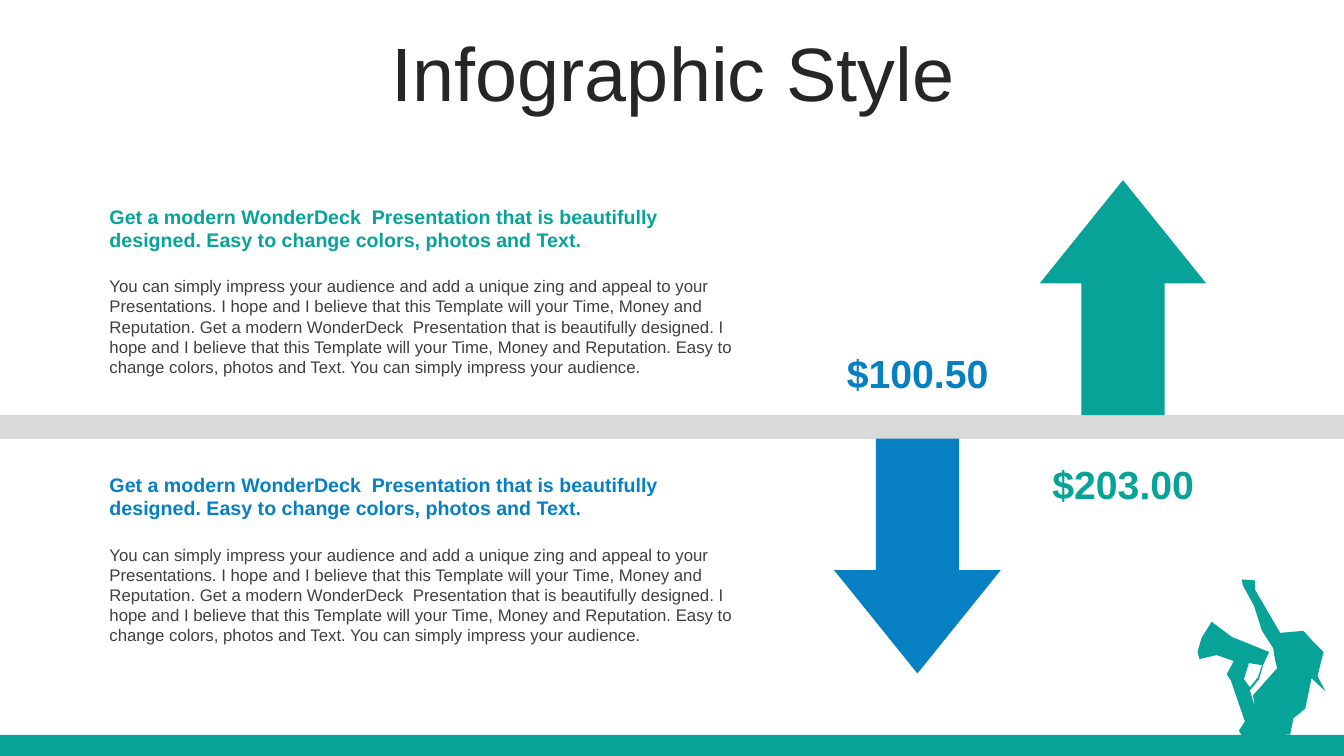
"""Build the two-arrow infographic slide."""
from pptx import Presentation
from pptx.dml.color import RGBColor
from pptx.enum.shapes import MSO_SHAPE
from pptx.enum.text import MSO_ANCHOR, MSO_AUTO_SIZE, PP_ALIGN
from pptx.util import Cm, Pt

RECT, ARROW = MSO_SHAPE.RECTANGLE, MSO_SHAPE.UP_ARROW
TOP, MIDDLE = MSO_ANCHOR.TOP, MSO_ANCHOR.MIDDLE
LEFT, CENTER = PP_ALIGN.LEFT, PP_ALIGN.CENTER
GROW, FIXED = MSO_AUTO_SIZE.SHAPE_TO_FIT_TEXT, MSO_AUTO_SIZE.NONE

COLORS = {"green": "07A398", "blue": "0680C3", "band": "D9D9D9",
          "title": "262626", "body": "404040"}
SLIDE_W, SLIDE_H = 33.87, 19.05
HEADING = ("Get a modern WonderDeck  Presentation that is beautifully designed. "
           "Easy to change colors, photos and Text.")
BODY = ("You can simply impress your audience and add a unique zing and appeal to "
        "your Presentations. I hope and I believe that this Template will your Time, "
        "Money and Reputation. Get a modern WonderDeck  Presentation that is "
        "beautifully designed. I hope and I believe that this Template will your "
        "Time, Money and Reputation. Easy to change colors, photos and Text. "
        "You can simply impress your audience.")

OUTLINE = [(44, 157), (92, 156), (95, 140), (107, 130), (113, 100), (127, 113),
           (119, 98), (125, 74), (115, 64), (105, 53), (82, 55), (57, 12),
           (57, 3), (44, 2), (45, 8), (56, 28), (64, 53), (75, 70), (77, 82),
           (79, 90), (55, 117), (57, 129), (52, 112), (61, 101), (65, 87),
           (71, 74), (34, 59), (14, 44), (4, 60), (0, 74), (2, 81), (19, 77),
           (36, 83), (29, 96), (33, 102), (47, 143), (41, 152)]
ELBOW_GAP = [(51, 85), (64, 87), (60, 99), (52, 109), (46, 101)]


def paint(sp, color):
    sp.shadow.inherit = False
    sp.fill.solid()
    sp.fill.fore_color.rgb = RGBColor.from_string(COLORS[color])
    sp.line.fill.background()


def add_block(s, kind, box, color):
    sp = s.shapes.add_shape(kind, *map(Cm, box))
    paint(sp, color)
    return sp


def add_arrow(s, left, top, color, rotation=0):
    sp = add_block(s, ARROW, (left, top, 4.2, 5.92), color)
    sp.adjustments[0], sp.adjustments[1] = 0.5, 0.62
    sp.rotation = rotation


def add_figure(s, left, top, color):
    fb = s.shapes.build_freeform(*OUTLINE[0], scale=Cm(2.54) / 100)
    fb.add_line_segments(OUTLINE[1:])
    fb.move_to(*ELBOW_GAP[0])
    fb.add_line_segments(ELBOW_GAP[1:])
    paint(fb.convert_to_shape(Cm(left), Cm(top)), color)


def add_text(s, box, text, size, color, bold=False, frame=None, para=None):
    tf = s.shapes.add_textbox(*map(Cm, box)).text_frame
    p = tf.paragraphs[0]
    r = p.add_run()
    r.text = text
    formats = [
        (tf, {"word_wrap": True, "auto_size": GROW, "vertical_anchor": TOP,
              **(frame or {})}),
        (p, {"alignment": LEFT, **(para or {})}),
        (r.font, {"name": "Arial", "size": Pt(size), "bold": bold}),
    ]
    for target, values in formats:
        for name, value in values.items():
            setattr(target, name, value)
    r.font.color.rgb = RGBColor.from_string(COLORS[color])


def add_price(s, left, top, text, color):
    add_text(s, (left, top, 4.85, 1.45), text, 28, color, True,
             {"vertical_anchor": MIDDLE}, {"alignment": CENTER})


def add_message(s, top, color):
    add_text(s, (2.51, top, 16.48, 1.45), HEADING, 14, color, True)
    add_text(s, (2.51, top + 1.8, 16.48, 2.82), BODY, 12, "body")


def main():
    prs = Presentation()
    prs.slide_width, prs.slide_height = Cm(SLIDE_W), Cm(SLIDE_H)
    s = prs.slides.add_slide(prs.slide_layouts[6])
    add_figure(s, 30.18, 14.55, "green")
    add_block(s, RECT, (0, 18.52, SLIDE_W, 0.53), "green")
    add_text(s, (0.89, 0.94, 32.16, 2.01), "Infographic Style", 54, "title",
             frame={"auto_size": FIXED, "vertical_anchor": MIDDLE},
             para={"alignment": CENTER, "line_spacing": 0.9, "space_before": Pt(10)})
    add_block(s, RECT, (0, 10.46, SLIDE_W, 0.6), "band")
    add_arrow(s, 26.2, 4.54, "green")
    add_arrow(s, 21.02, 11.05, "blue", 180)
    add_price(s, 20.7, 8.66, "$100.50", "blue")
    add_price(s, 25.88, 11.46, "$203.00", "green")
    add_message(s, 5.03, "green")
    add_message(s, 11.79, "blue")
    prs.save("out.pptx")


if __name__ == "__main__":
    main()
